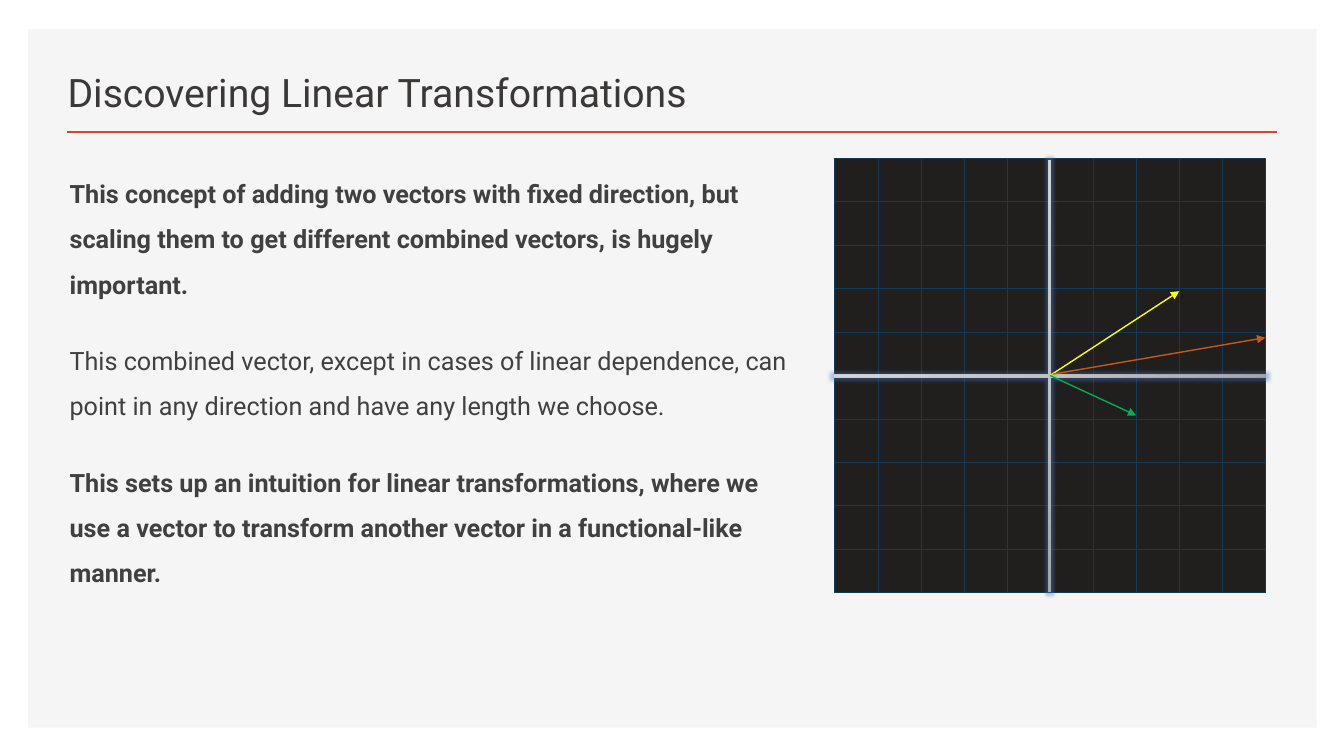
from pptx import Presentation
from pptx.dml.color import RGBColor
from pptx.enum.shapes import MSO_CONNECTOR as Connector, MSO_SHAPE as Shape
from pptx.enum.text import MSO_ANCHOR as Anchor, MSO_AUTO_SIZE as AutoSize, PP_ALIGN as Align
from pptx.oxml import parse_xml
from pptx.oxml.ns import nsdecls, qn
from pptx.util import Inches, Pt
from lxml.etree import SubElement

COLORS = {
    "panel": "F5F5F5", "rule": "D24726", "title": "3B3838", "body": "404040",
    "cell": "201F1E", "grid": "133B57", "glow": "4472C4",
    "axis dark": "898888", "axis middle": "C3C2C2", "axis light": "E7E6E6",
    "first": "FFFF00", "second": "00B050", "sum": "C55A11",
}
FONT = "Roboto"
CELLS = 10
GRID_LEFT, GRID_TOP, GRID_WIDE, GRID_HIGH = 8.28, 1.57, 4.27, 4.31


def grid_point(column, row):
    """Slide position of a point counted in cells from the grid's top left."""
    return (Inches(GRID_LEFT + column * GRID_WIDE / CELLS),
            Inches(GRID_TOP + row * GRID_HIGH / CELLS))


def draw_line(shapes, start, end, color, width, arrow=False):
    line = shapes.add_connector(Connector.STRAIGHT, *start, *end)
    line.line.color.rgb = RGBColor.from_string(COLORS[color])
    line.line.width = Pt(width)
    if arrow:
        SubElement(line.line._get_or_add_ln(), qn("a:tailEnd"), type="triangle")
    SubElement(line.element.spPr, qn("a:effectLst"))


deck = Presentation()
deck.slide_width, deck.slide_height = Inches(13.33), Inches(7.5)
page = deck.slides.add_slide(deck.slide_layouts[1])
title, body = page.placeholders

# Background panel and title rule
panel = page.shapes.add_shape(Shape.RECTANGLE, Inches(0.28), Inches(0.29),
                              Inches(12.78), Inches(6.93))
panel.shadow.inherit = False
panel.fill.solid()
panel.fill.fore_color.rgb = RGBColor.from_string(COLORS["panel"])
panel.line.fill.background()
title.element.addprevious(panel.element)
draw_line(page.shapes, (Inches(0.66), Inches(1.31)), (Inches(12.67), Inches(1.31)), "rule", 2)

# Title
title.left, title.top, title.width, title.height = map(Inches, (0.57, 0.49, 7.52, 0.7))
title.text_frame.text = "Discovering Linear Transformations"
title.text_frame.auto_size = AutoSize.NONE
title.text_frame.vertical_anchor = Anchor.BOTTOM
heading = title.text_frame.paragraphs[0]
heading.alignment = Align.LEFT
heading.font.name, heading.font.size = FONT, Pt(28)
heading.font.color.rgb = RGBColor.from_string(COLORS["title"])

# Body text
statements = [
    ("This concept of adding two vectors with fixed direction, but scaling them "
     "to get different combined vectors, is hugely important.", True),
    ("This combined vector, except in cases of linear dependence, can point in "
     "any direction and have any length we choose.", False),
    ("This sets up an intuition for linear transformations, where we use a vector "
     "to transform another vector in a functional-like manner.", True),
]
body.left, body.top, body.width, body.height = map(Inches, (0.59, 1.57, 7.39, 5.35))
body.text_frame.text = "\n".join(text for text, bold in statements)
body.text_frame.auto_size = AutoSize.NONE
for index, (para, (text, bold)) in enumerate(zip(body.text_frame.paragraphs, statements)):
    para.line_spacing = 1.5
    para.space_before = Pt(10 if index else 0)
    para.space_after = Pt(12)
    properties = para._p.get_or_add_pPr()
    properties.set("marL", "0")
    properties.set("indent", "0")
    SubElement(properties, qn("a:buNone"))
    para.font.name, para.font.size, para.font.bold = FONT, Pt(18), bold
    para.font.color.rgb = RGBColor.from_string(COLORS["body"])

# Coordinate grid
plane = page.shapes.add_group_shape()
for column in range(CELLS):
    for row in range(CELLS):
        cell = plane.shapes.add_shape(Shape.RECTANGLE, *grid_point(column, row),
                                      Inches(GRID_WIDE / CELLS), Inches(GRID_HIGH / CELLS))
        cell.shadow.inherit = False
        cell.fill.solid()
        cell.fill.fore_color.rgb = RGBColor.from_string(COLORS["cell"])
        cell.line.color.rgb = RGBColor.from_string(COLORS["grid"])
        cell.line.width = Pt(0.5)

# Glowing axes
axes = plane.shapes.add_shape(Shape.CROSS, Inches(8.27), Inches(1.59), Inches(4.28), Inches(4.28))
axes.adjustments[0] = 0.497
axes.line.fill.background()
axes.shadow.inherit = False
stops = "".join(
    f'<a:gs pos="{position}"><a:srgbClr val="{COLORS[name]}"/></a:gs>'
    for position, name in ((0, "axis dark"), (50000, "axis middle"), (100000, "axis light")))
axes.element.spPr.find(qn("a:prstGeom")).addnext(parse_xml(
    f'<a:gradFill {nsdecls("a")}><a:gsLst>{stops}</a:gsLst>'
    '<a:lin ang="13500000" scaled="1"/></a:gradFill>'))
axes.element.spPr.find(qn("a:effectLst")).append(parse_xml(
    f'<a:glow {nsdecls("a")} rad="63500"><a:srgbClr val="{COLORS["glow"]}">'
    '<a:alpha val="40000"/></a:srgbClr></a:glow>'))

# Vectors, in cells of the grid
vectors = [
    (plane.shapes, (5, 5), (8, 3.06), "first"),
    (plane.shapes, (5, 5), (7, 5.92), "second"),
    (page.shapes, (5.06, 4.97), (10, 4.13), "sum"),
]
for shapes, start, end, color in vectors:
    draw_line(shapes, grid_point(*start), grid_point(*end), color, 1, arrow=True)

deck.save("out.pptx")
